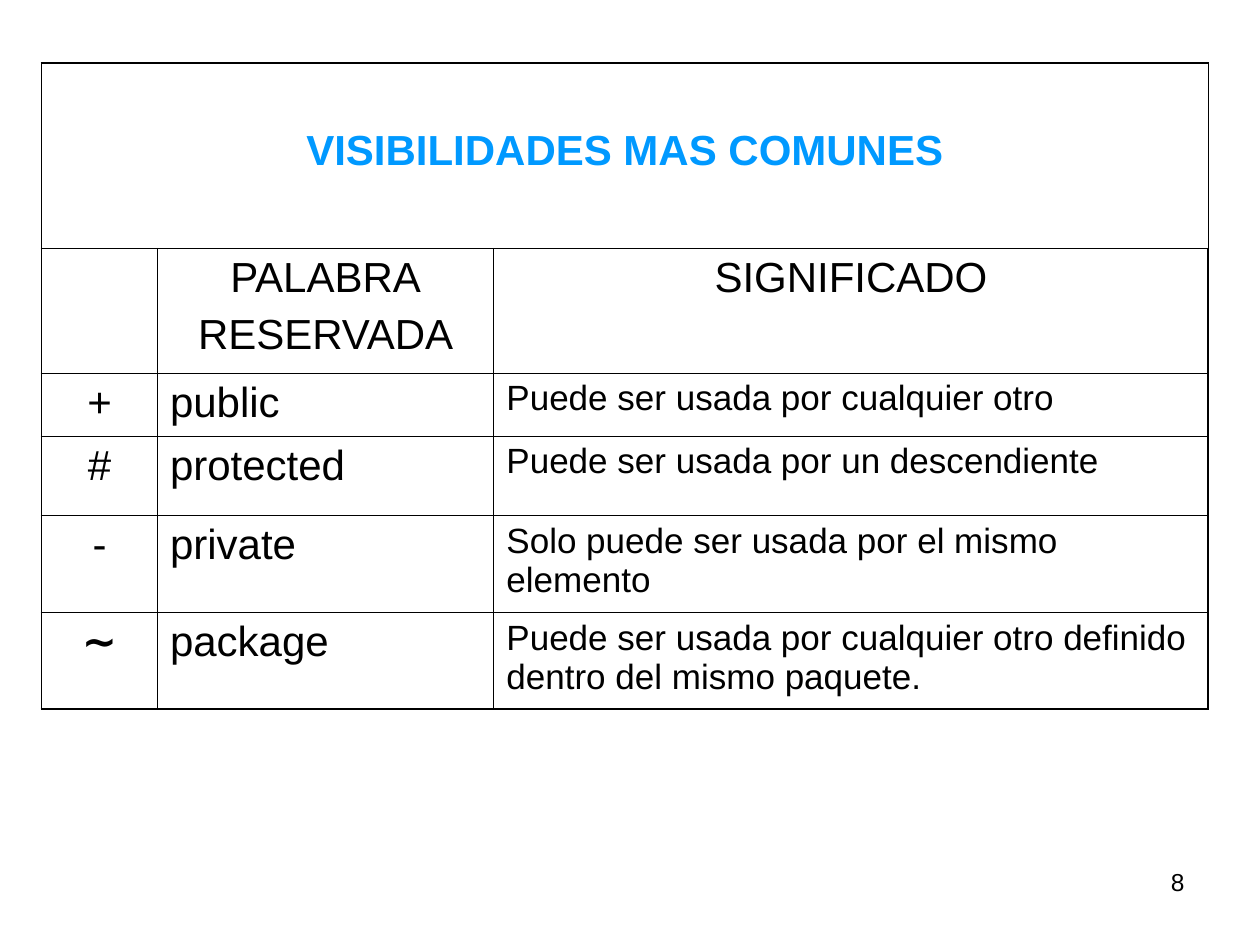
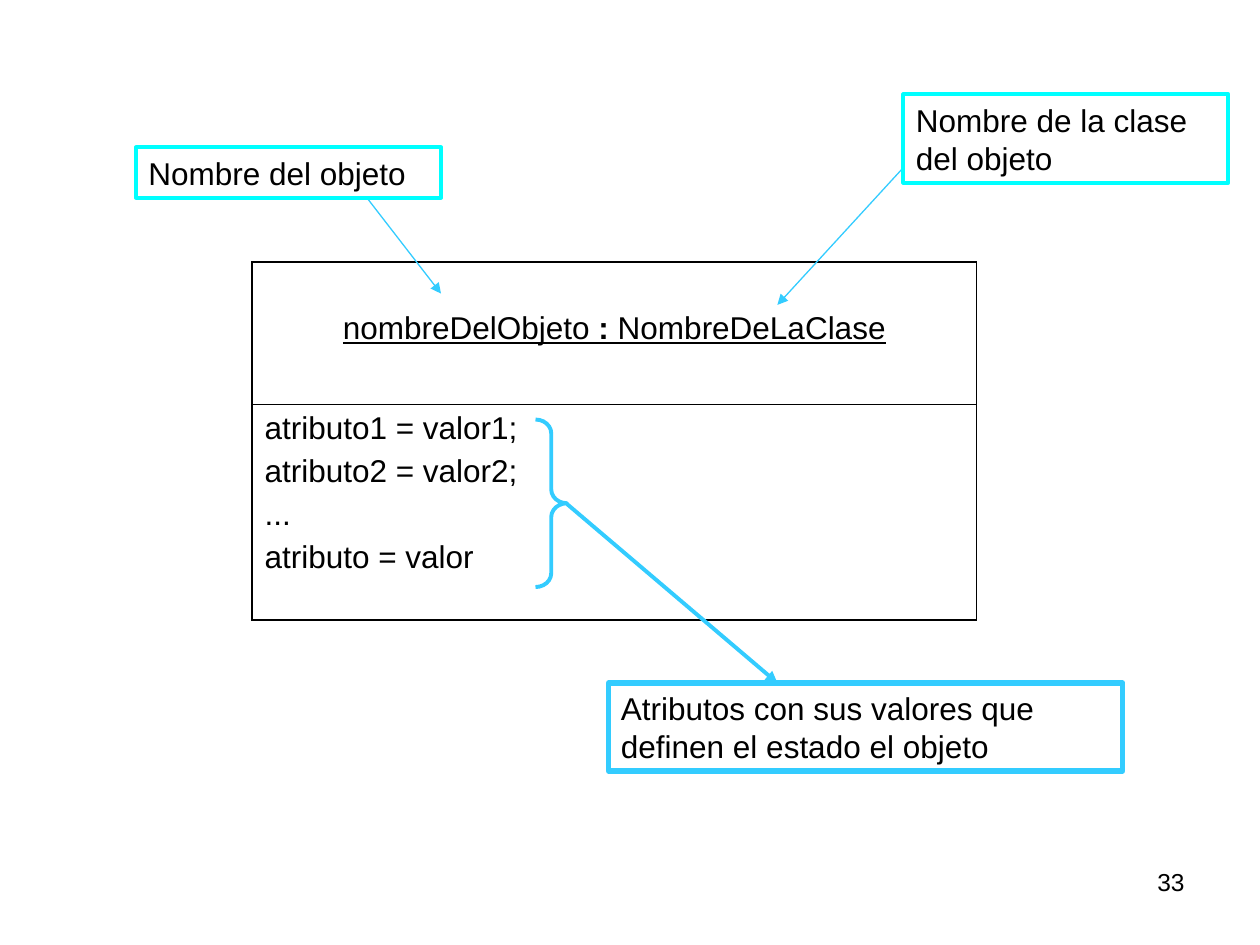
from lxml.etree import SubElement
from pptx import Presentation
from pptx.dml.color import RGBColor
from pptx.enum.shapes import MSO_CONNECTOR, MSO_SHAPE
from pptx.enum.text import MSO_ANCHOR, PP_ALIGN
from pptx.oxml.ns import qn
from pptx.util import Inches, Pt

FONT = "Arial"
BLACK = "000000"
TITLE_BLUE = "0099FF"
SKY = "33CCFF"
CYAN = "00FFFF"
OUTER_BORDER = 1.08
INNER_BORDER = 0.45

VISIBILITIES = [
    ("+", "public", "Puede ser usada por cualquier otro"),
    ("#", "protected", "Puede ser usada por un descendiente"),
    ("-", "private", "Solo puede ser usada por el mismo elemento"),
    ("∼", "package", "Puede ser usada por cualquier otro definido dentro del mismo paquete."),
]
ATTRIBUTES = ["atributo1 = valor1;", "atributo2 = valor2;", "...", "atributo = valor"]


def color(hex_text):
    return RGBColor.from_string(hex_text)


def add_run(paragraph, text, size, hex_text=BLACK, bold=False, underline=False):
    run = paragraph.add_run()
    run.text = text
    run.font.name = FONT
    run.font.size = Pt(size)
    run.font.bold = bold
    run.font.underline = underline
    run.font.color.rgb = color(hex_text)


def write_lines(text_frame, lines, size, align=PP_ALIGN.LEFT, **style):
    for index, line in enumerate(lines):
        paragraph = text_frame.paragraphs[0] if index == 0 else text_frame.add_paragraph()
        paragraph.alignment = align
        paragraph.space_before = Pt(size / 4)
        add_run(paragraph, line, size, **style)


def set_border(cell, side, width):
    line = SubElement(cell._tc.get_or_add_tcPr(), qn(f"a:{side}"), w=str(Pt(width)))
    fill = SubElement(line, qn("a:solidFill"))
    SubElement(fill, qn("a:srgbClr"), val=BLACK)


def add_ruled_table(slide, left, top, column_widths, row_heights):
    row_count, column_count = len(row_heights), len(column_widths)
    frame = slide.shapes.add_table(
        row_count, column_count, Inches(left), Inches(top),
        Inches(sum(column_widths)), Inches(sum(row_heights)))
    table = frame.table
    table.first_row = False
    table.horz_banding = False
    for column, width in zip(table.columns, column_widths):
        column.width = Inches(width)
    for row, height in zip(table.rows, row_heights):
        row.height = Inches(height)
    for row in range(row_count):
        for column in range(column_count):
            cell = table.cell(row, column)
            edges = {
                "lnL": column == 0,
                "lnR": column == column_count - 1,
                "lnT": row == 0,
                "lnB": row == row_count - 1,
            }
            for side, is_outer in edges.items():
                set_border(cell, side, OUTER_BORDER if is_outer else INNER_BORDER)
            cell.fill.background()
    return table


def center_heading(cell):
    cell.vertical_anchor = MSO_ANCHOR.MIDDLE
    cell.margin_bottom = Inches(0.13)
    paragraph = cell.text_frame.paragraphs[0]
    paragraph.alignment = PP_ALIGN.CENTER
    return paragraph


def add_callout(slide, text, left, top, width, height, line_color, line_width):
    box = slide.shapes.add_shape(
        MSO_SHAPE.RECTANGLE, Inches(left), Inches(top), Inches(width), Inches(height))
    box.shadow.inherit = False
    box.fill.background()
    box.line.color.rgb = color(line_color)
    box.line.width = Pt(line_width)
    box.text_frame.word_wrap = True
    write_lines(box.text_frame, [text], 18)


def add_arrow(slide, start, end, width):
    arrow = slide.shapes.add_connector(
        MSO_CONNECTOR.STRAIGHT, *(Inches(value) for value in start + end))
    arrow.line.color.rgb = color(SKY)
    arrow.line.width = Pt(width)
    properties = arrow.element.spPr
    SubElement(properties.find(qn("a:ln")), qn("a:tailEnd"), type="triangle")
    SubElement(properties, qn("a:effectLst"))


def add_brace(slide, left, top, width, height):
    brace = slide.shapes.add_shape(
        MSO_SHAPE.RIGHT_BRACE, Inches(left), Inches(top), Inches(width), Inches(height))
    brace.adjustments[0] = 0.44
    brace.shadow.inherit = False
    brace.fill.background()
    brace.line.color.rgb = color(SKY)
    brace.line.width = Pt(2.25)


def add_page_number(slide, number):
    box = slide.shapes.add_textbox(Inches(7.17), Inches(6.83), Inches(2.33), Inches(0.52))
    box.text_frame.word_wrap = True
    paragraph = box.text_frame.paragraphs[0]
    paragraph.alignment = PP_ALIGN.RIGHT
    add_run(paragraph, str(number), 14)


def build_visibility_slide(slide):
    table = add_ruled_table(
        slide, 0.33, 0.5, [0.92, 2.67, 5.67], [1.47, 0.99, 0.5, 0.63, 0.77, 0.77])
    heading = table.cell(0, 0)
    heading.merge(table.cell(0, 2))
    add_run(center_heading(heading), "VISIBILIDADES MAS COMUNES", 24, TITLE_BLUE, bold=True)
    write_lines(table.cell(1, 1).text_frame, ["PALABRA", "RESERVADA"], 24, PP_ALIGN.CENTER)
    write_lines(table.cell(1, 2).text_frame, ["SIGNIFICADO"], 24, PP_ALIGN.CENTER)
    for row, (symbol, keyword, meaning) in enumerate(VISIBILITIES, start=2):
        write_lines(table.cell(row, 0).text_frame, [symbol], 24, PP_ALIGN.CENTER,
                    bold=symbol == "∼")
        write_lines(table.cell(row, 1).text_frame, [keyword], 24)
        write_lines(table.cell(row, 2).text_frame, [meaning], 20)
    add_page_number(slide, 8)


def build_object_slide(slide):
    table = add_ruled_table(slide, 2, 2.08, [5.75], [1.13, 1.71])
    heading = center_heading(table.cell(0, 0))
    add_run(heading, "nombreDelObjeto", 18, underline=True)
    add_run(heading, " :", 18, bold=True, underline=True)
    add_run(heading, " NombreDeLaClase", 18, underline=True)
    write_lines(table.cell(1, 0).text_frame, ATTRIBUTES, 18)
    add_arrow(slide, (7.17, 1.33), (6.17, 2.42), 0.75)
    add_callout(slide, "Nombre de la clase del objeto", 7.17, 0.75, 2.58, 0.7, CYAN, 2.25)
    add_arrow(slide, (2.92, 1.58), (3.5, 2.33), 0.75)
    add_callout(slide, "Nombre del objeto", 1.08, 1.17, 2.42, 0.4, CYAN, 2.25)
    add_brace(slide, 4.25, 3.33, 0.25, 1.33)
    add_arrow(slide, (4.5, 4), (6.17, 5.42), 2.25)
    add_callout(slide, "Atributos con sus valores que definen el estado el objeto",
                4.83, 5.42, 4.08, 0.7, SKY, 3)
    add_page_number(slide, 33)


def main():
    presentation = Presentation()
    presentation.slide_width = Inches(10)
    presentation.slide_height = Inches(7.5)
    blank_layout = presentation.slide_layouts[6]
    for build in (build_visibility_slide, build_object_slide):
        build(presentation.slides.add_slide(blank_layout))
    presentation.save("out.pptx")


if __name__ == "__main__":
    main()
